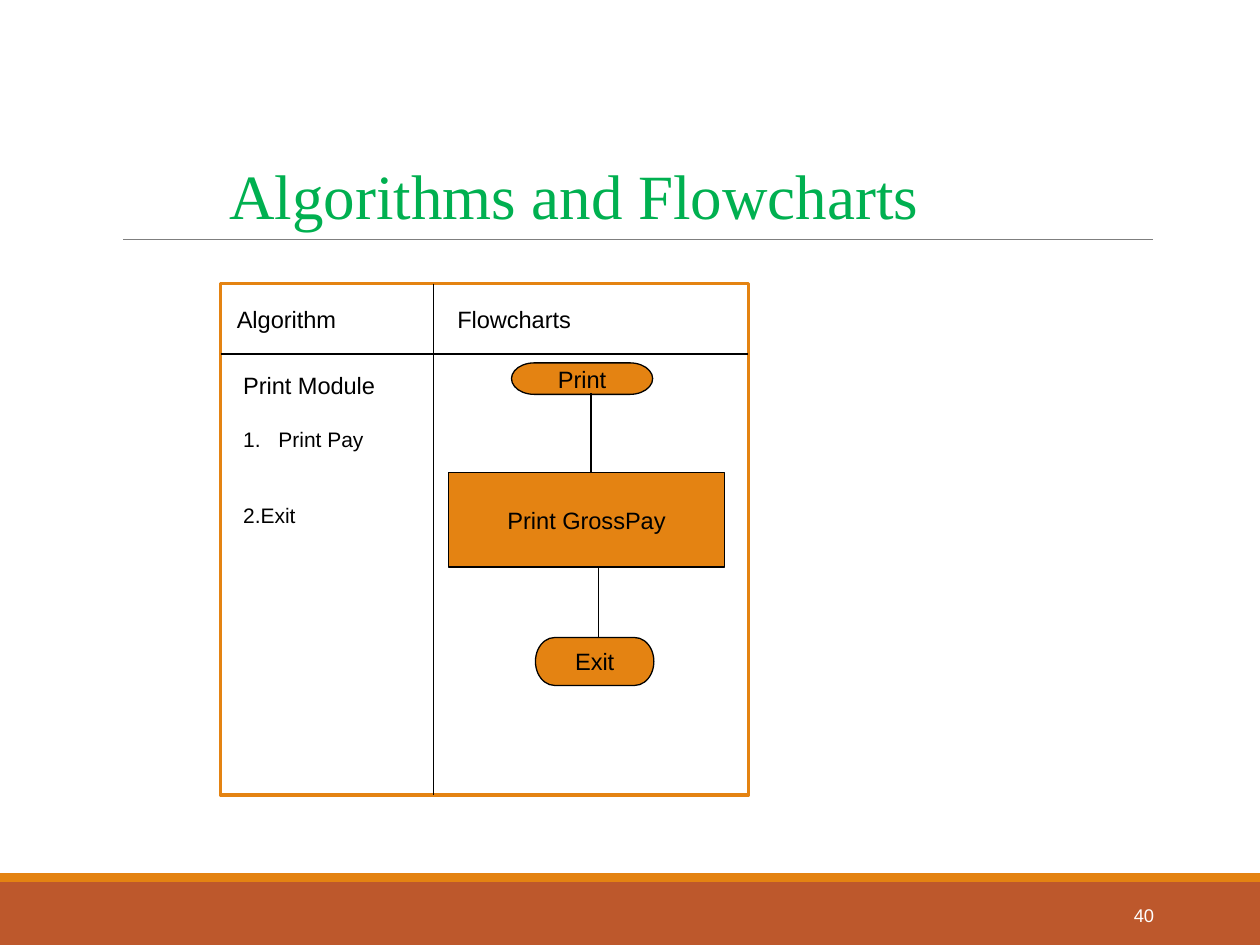
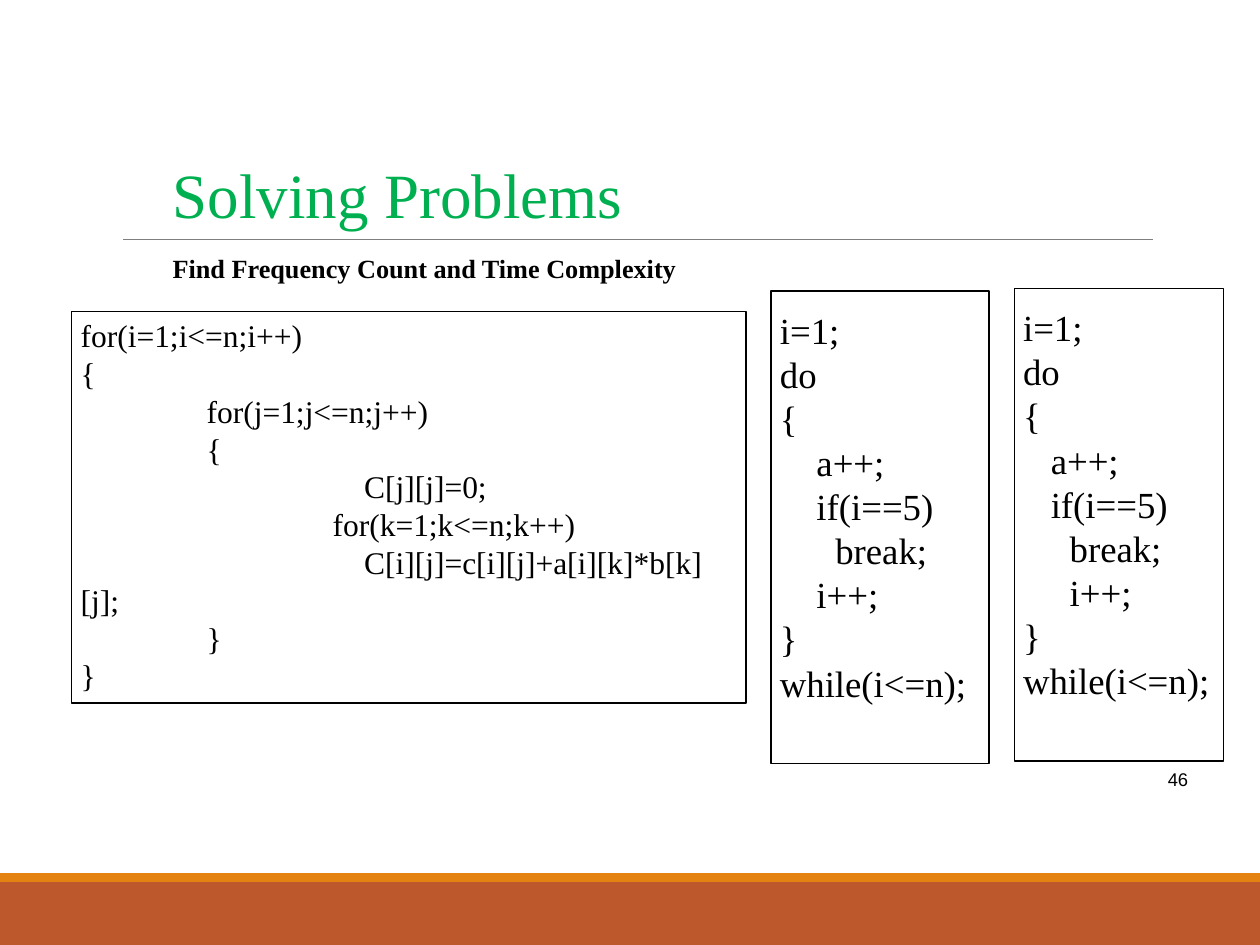
"""Build two lecture slides: a print flowchart and loop complexity problems."""
from dataclasses import dataclass

from lxml import etree
from pptx import Presentation, util as u
from pptx.dml import color
from pptx.enum import shapes, text
from pptx.oxml import ns

PX = 9144


@dataclass(frozen=True)
class Theme:
    band: str = "BD582C"
    accent: str = "E48312"
    rule: str = "7F7F7F"
    title: str = "00B050"
    ink: str = "000000"
    paper: str = "FFFFFF"
    serif: str = "Times New Roman"
    sans: str = "Arial"
    title_size: float = 36
    loop_size: float = 21
    code_size: float = 18
    heading_size: float = 15
    label_size: float = 13.5
    step_size: float = 12
    number_size: float = 10.5


THEME = Theme()
LEFT, CENTER, RIGHT = text.PP_ALIGN.LEFT, text.PP_ALIGN.CENTER, text.PP_ALIGN.RIGHT
TOP, MIDDLE = text.MSO_ANCHOR.TOP, text.MSO_ANCHOR.MIDDLE
KINDS = shapes.MSO_SHAPE


def px(*lengths):
    return [u.Emu(length * PX) for length in lengths]


def apply(target, formats):
    for name, value in formats.items():
        setattr(target, name, value)


def rgb(value):
    return color.RGBColor.from_string(value)


def set_frame(box, anchor=TOP, insets=(7, 4, 7, 4)):
    sides = ("margin_left", "margin_top", "margin_right", "margin_bottom")
    apply(box.text_frame, {"word_wrap": True, "vertical_anchor": anchor,
                           **dict(zip(sides, px(*insets)))})


def add_para(box, words, size, font=THEME.sans, ink=THEME.ink, bold=False,
             indent=0, margin=0, numbered=False, **formats):
    frame = box.text_frame
    para = frame.add_paragraph() if frame.text else frame.paragraphs[0]
    apply(para, {"alignment": LEFT, **formats})
    properties = para._p.get_or_add_pPr()
    for name, length in (("marL", margin), ("indent", indent)):
        properties.set(name, str(length * PX))
    if numbered:
        bullet = etree.SubElement(properties, ns.qn("a:buAutoNum"))
        bullet.set("type", "arabicPeriod")
    span = para.add_run()
    span.text = words
    apply(span.font, {"name": font, "size": u.Pt(size), "bold": bold})
    span.font.color.rgb = rgb(ink)


def add_shape(page, at, fill, line=None, weight=0.75, kind=KINDS.RECTANGLE):
    box = page.shapes.add_shape(kind, *px(*at))
    box.shadow.inherit = False
    box.fill.solid()
    box.fill.fore_color.rgb = rgb(fill)
    if line:
        box.line.color.rgb = rgb(line)
        box.line.width = u.Pt(weight)
    else:
        box.line.fill.background()
    return box


def add_line(page, start, end, ink=THEME.ink):
    line = page.shapes.add_connector(shapes.MSO_CONNECTOR.STRAIGHT, *px(*start, *end))
    line.line.color.rgb = rgb(ink)
    line.line.width = u.Pt(0.75)
    etree.SubElement(line._element.spPr, ns.qn("a:effectLst"))


def add_text(page, at, words, size, anchor=TOP, **formats):
    box = page.shapes.add_textbox(*px(*at))
    set_frame(box, anchor)
    add_para(box, words, size, **formats)
    return box


def add_page(deck, title, title_at):
    page = deck.slides.add_slide(deck.slide_layouts[6])
    add_shape(page, (0, 700, 1000, 50), THEME.band)
    add_shape(page, (0, 693, 1000, 7), THEME.accent)
    add_line(page, (98, 190), (915, 190), THEME.rule)
    add_text(page, title_at, title, THEME.title_size, MIDDLE, font=THEME.serif,
             ink=THEME.title, line_spacing=0.85)
    return page


def add_step(page, at, words, kind):
    box = add_shape(page, at, THEME.accent, THEME.ink, kind=kind)
    set_frame(box, MIDDLE)
    add_para(box, words, THEME.label_size, alignment=CENTER)


def add_code(page, at, lines, size, **frame):
    box = add_shape(page, at, THEME.paper, THEME.ink)
    set_frame(box, **frame)
    for indent, words in lines:
        add_para(box, words, size, font=THEME.serif, indent=indent)


def add_loop(page, at, body, nested, increment):
    lines = [(0, "i=1;"), (0, "do"), (0, "{"), (body, "a++;"), (body, "if(i==5)"),
             (nested, "break;"), (increment, "i++;"), (0, "}"), (0, "while(i<=n);")]
    add_code(page, at, lines, THEME.loop_size, anchor=MIDDLE, insets=(7, 4, 7, 38))


def build_flowchart(deck):
    page = add_page(deck, "Algorithms and Flowcharts", (175, 112, 675, 94))
    add_shape(page, (175, 225, 419, 406), THEME.paper, THEME.accent, 2)
    add_line(page, (175, 281), (594, 281))
    add_line(page, (344, 225), (344, 631))
    for left, heading in ((181, "Algorithm"), (356, "Flowcharts")):
        add_text(page, (left, 238, 120, 30), heading, THEME.label_size)

    hanging = {"margin": 28, "indent": -28}
    steps = add_text(page, (186, 290, 140, 133), "Print Module", THEME.label_size, **hanging)
    add_para(steps, "Print Pay", THEME.step_size, numbered=True,
             space_before=u.Pt(16), **hanging)
    add_para(steps, "2.Exit", THEME.step_size, space_before=u.Pt(29), **hanging)

    add_step(page, (406, 288, 112, 25), "Print", KINDS.FLOWCHART_TERMINATOR)
    add_step(page, (425, 506, 94, 38), "Exit", KINDS.FLOWCHART_TERMINATOR)
    add_line(page, (469, 312), (469, 375))
    add_line(page, (475, 450), (475, 506))
    add_step(page, (356, 375, 219, 75), "Print GrossPay", KINDS.FLOWCHART_PROCESS)
    add_text(page, (812, 706, 111, 40), "40", THEME.number_size, MIDDLE,
             ink=THEME.paper, alignment=RIGHT)


def build_problems(deck):
    page = add_page(deck, "Solving Problems", (130, 129, 675, 59))
    add_text(page, (717, 606, 233, 39), "46", THEME.number_size, alignment=RIGHT)
    matrix_product = [
        (0, "for(i=1;i<=n;i++)"), (0, "{"),
        (100, "for(j=1;j<=n;j++)"), (100, "{"),
        (225, "C[j][j]=0;"), (200, "for(k=1;k<=n;k++)"),
        (225, "C[i][j]=c[i][j]+a[i][k]*b[k][j];"),
        (100, "}"), (0, "}"),
    ]
    add_code(page, (57, 247, 535, 311), matrix_product, THEME.code_size)
    add_loop(page, (612, 231, 173, 375), body=29, nested=44, increment=29)
    add_loop(page, (805, 229, 166, 375), body=22, nested=37, increment=37)
    add_text(page, (130, 196, 450, 33), "Find Frequency Count and Time Complexity",
             THEME.heading_size, font=THEME.serif, bold=True)


def main():
    deck = Presentation()
    apply(deck, dict(zip(("slide_width", "slide_height"), px(1000, 750))))
    build_flowchart(deck)
    build_problems(deck)
    deck.save("out.pptx")


if __name__ == "__main__":
    main()
